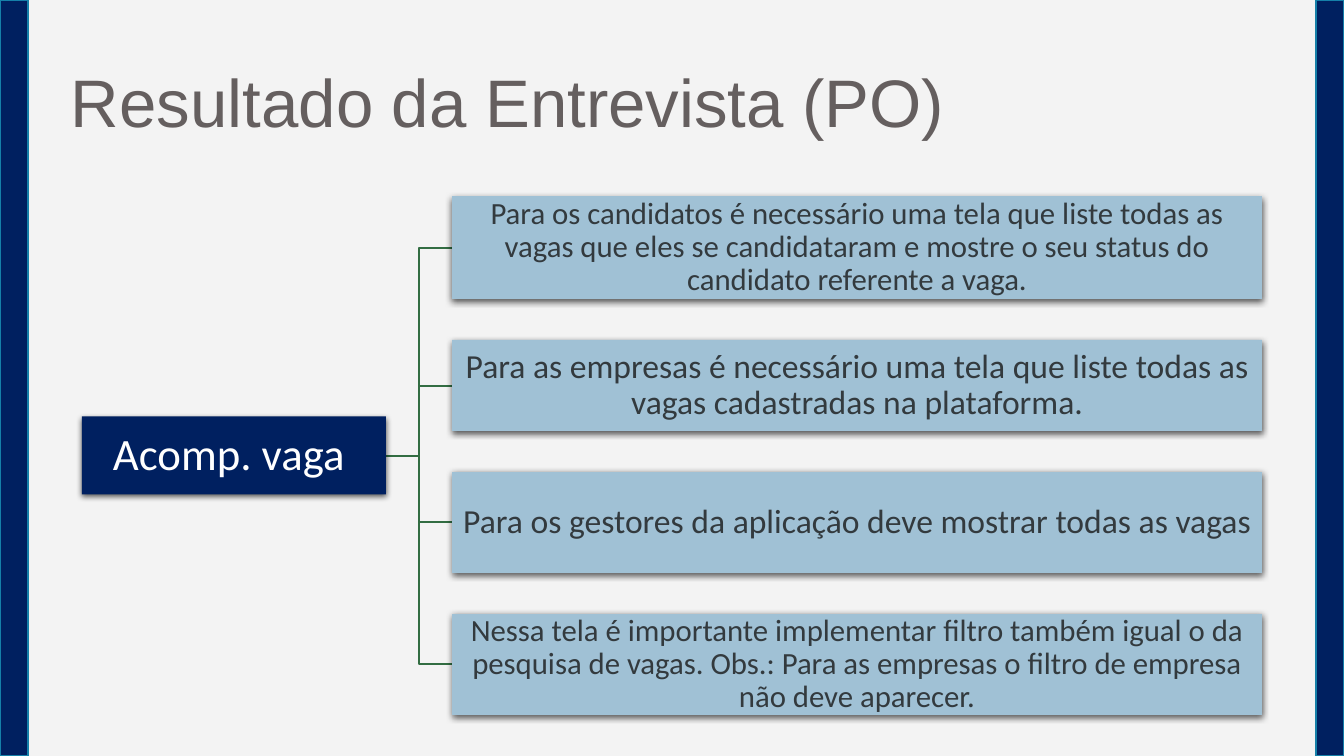
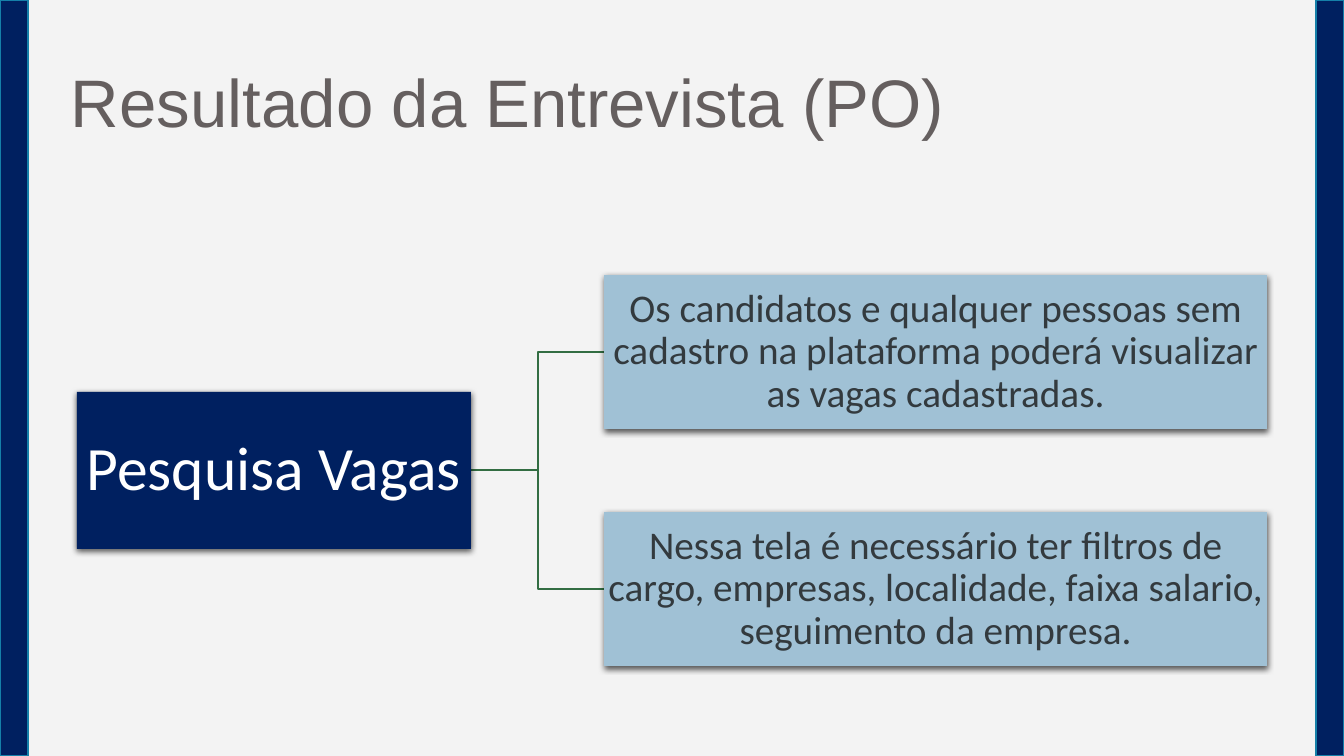
from dataclasses import dataclass

from lxml import etree
from pptx import Presentation
from pptx.dml.color import RGBColor
from pptx.enum.shapes import MSO_SHAPE
from pptx.enum.text import MSO_ANCHOR, PP_ALIGN
from pptx.oxml.ns import qn
from pptx.util import Pt

RECTANGLE = MSO_SHAPE.RECTANGLE
MIDDLE, BOTTOM = MSO_ANCHOR.MIDDLE, MSO_ANCHOR.BOTTOM
LEFT, CENTER = PP_ALIGN.LEFT, PP_ALIGN.CENTER

# Lengths are pixels; one scale turns them into EMU
SLIDE_WIDTH, SLIDE_HEIGHT = 1344, 756
EMU_PER_PIXEL = 12192000 / SLIDE_WIDTH
BAND_WIDTH = 28


@dataclass(frozen=True)
class Theme:
    background: str = "F3F3F3"
    navy: str = "002060"
    band_line: str = "1580A9"
    branch: str = "326D42"
    box: str = "A0C1D5"
    box_text: str = "333A3E"
    root_text: str = "FFFFFF"
    title_text: str = "655F5F"
    title_font: str = "Arial"
    body_font: str = "Calibri"
    title_size: int = 48
    line_width: int = 1
    line_spacing: float = 0.9


THEME = Theme()


@dataclass(frozen=True)
class Tree:
    root: str
    root_size: int
    root_left: int
    root_width: int
    root_height: int
    box_left: int
    box_width: int
    top: int
    gap: int
    boxes: tuple  # (height, type size, text)


TITLE = "Resultado da Entrevista (PO)"
TREES = (
    Tree("Acomp. vaga ", 32, 82, 304, 78, 452, 810, 196, 41, (
        (103, 22, "Para os candidatos é necessário uma tela que liste todas as vagas "
                  "que eles se candidataram e mostre o seu status do candidato "
                  "referente a vaga."),
        (91, 24, "Para as empresas é necessário uma tela que liste todas as vagas "
                 "cadastradas na plataforma."),
        (101, 24, "Para os gestores da aplicação deve mostrar todas as vagas"),
        (101, 22, "Nessa tela é importante implementar filtro também igual o da "
                  "pesquisa de vagas. Obs.: Para as empresas o filtro de empresa "
                  "não deve aparecer."),
    )),
    Tree("Pesquisa Vagas", 44, 77, 394, 157, 604, 663, 275, 83, (
        (154, 28, "Os candidatos e qualquer pessoas sem cadastro na plataforma "
                  "poderá visualizar as vagas cadastradas."),
        (154, 28, "Nessa tela é necessário ter filtros de cargo, empresas, "
                  "localidade, faixa salario, seguimento da empresa."),
    )),
)


def px(*lengths):
    return [round(length * EMU_PER_PIXEL) for length in lengths]


def rgb(color):
    return RGBColor.from_string(color)


def set_line(shape, color):
    shape.line.color.rgb = rgb(color)
    shape.line.width = Pt(THEME.line_width)


def write(shape, text, size, font, color, alignment, anchor, inset):
    frame = shape.text_frame
    frame.word_wrap = True
    frame.vertical_anchor = anchor
    frame.margin_left = frame.margin_right = px(inset)[0]
    frame.margin_top = frame.margin_bottom = px(min(inset, 5))[0]
    paragraph = frame.paragraphs[0]
    paragraph.alignment = alignment
    paragraph.line_spacing = THEME.line_spacing
    run = paragraph.add_run()
    run.text = text
    run.font.size = Pt(size)
    run.font.name = font
    run.font.color.rgb = rgb(color)


def add_rectangle(slide, left, top, width, height, fill):
    shape = slide.shapes.add_shape(RECTANGLE, *px(left, top, width, height))
    shape.shadow.inherit = False
    shape.fill.solid()
    shape.fill.fore_color.rgb = rgb(fill)
    return shape


def add_soft_shadow(shape):
    effects = shape._element.spPr.find(qn("a:effectLst"))
    shadow = etree.SubElement(effects, qn("a:outerShdw"), blurRad="57150",
                              dist="19050", dir="5400000", algn="ctr",
                              rotWithShape="0")
    color = etree.SubElement(shadow, qn("a:srgbClr"), val="000000")
    etree.SubElement(color, qn("a:alpha"), val="63000")


def add_node(slide, left, top, width, height, fill, text, size, color):
    node = add_rectangle(slide, left, top, width, height, fill)
    node.line.fill.background()
    add_soft_shadow(node)
    write(node, text, size, THEME.body_font, color, CENTER, MIDDLE, 2)


def add_branch(slide, start_x, start_y, end_x, end_y):
    trunk = (start_x + end_x) / 2
    builder = slide.shapes.build_freeform(start_x, start_y, scale=EMU_PER_PIXEL)
    builder.add_line_segments(
        [(trunk, start_y), (trunk, end_y), (end_x, end_y)], close=False)
    branch = builder.convert_to_shape()
    branch.shadow.inherit = False
    branch.fill.background()
    set_line(branch, THEME.branch)


def add_tree(slide, tree):
    # Stack the boxes with equal gaps
    rows, top = [], tree.top
    for height, size, text in tree.boxes:
        rows.append((top, height, size, text))
        top += height + tree.gap
    middle = (tree.top + top - tree.gap) / 2

    # Branches lie behind the nodes
    for row_top, height, _, _ in reversed(rows):
        add_branch(slide, tree.root_left + tree.root_width, middle,
                   tree.box_left, row_top + height / 2)

    # Root, centred on the stack, then the boxes
    add_node(slide, tree.root_left, middle - tree.root_height / 2,
             tree.root_width, tree.root_height, THEME.navy,
             tree.root, tree.root_size, THEME.root_text)
    for row_top, height, size, text in rows:
        add_node(slide, tree.box_left, row_top, tree.box_width, height,
                 THEME.box, text, size, THEME.box_text)


def add_title(slide, text):
    title = slide.shapes.add_textbox(*px(61, 41, 996, 106))
    write(title, text, THEME.title_size, THEME.title_font, THEME.title_text,
          LEFT, BOTTOM, 10)


def add_bands(slide):
    for left in (0, SLIDE_WIDTH - BAND_WIDTH):
        band = add_rectangle(slide, left, 0, BAND_WIDTH, SLIDE_HEIGHT, THEME.navy)
        set_line(band, THEME.band_line)


def add_tree_slide(presentation, tree):
    slide = presentation.slides.add_slide(presentation.slide_layouts[6])
    slide.background.fill.solid()
    slide.background.fill.fore_color.rgb = rgb(THEME.background)
    add_tree(slide, tree)
    add_title(slide, TITLE)
    add_bands(slide)


def main():
    presentation = Presentation()
    presentation.slide_width, presentation.slide_height = px(SLIDE_WIDTH, SLIDE_HEIGHT)
    for tree in TREES:
        add_tree_slide(presentation, tree)
    presentation.save("out.pptx")


main()
